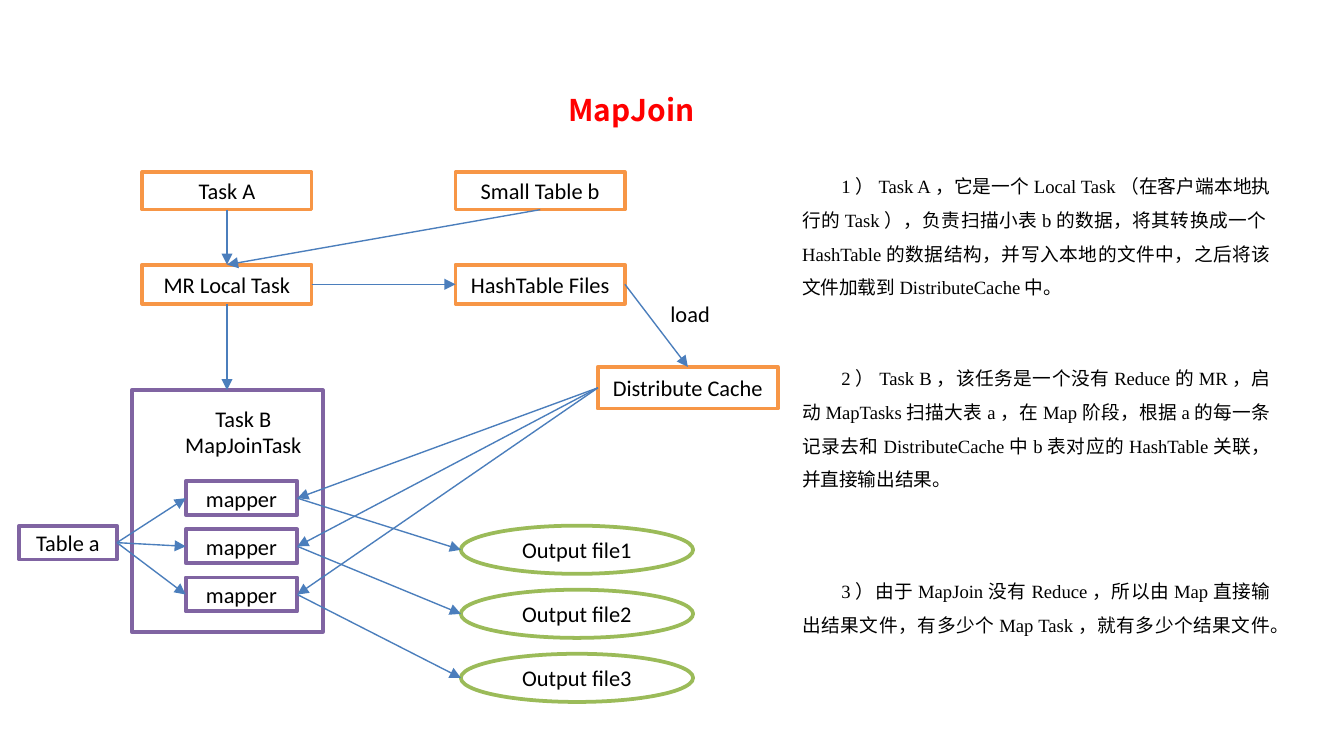
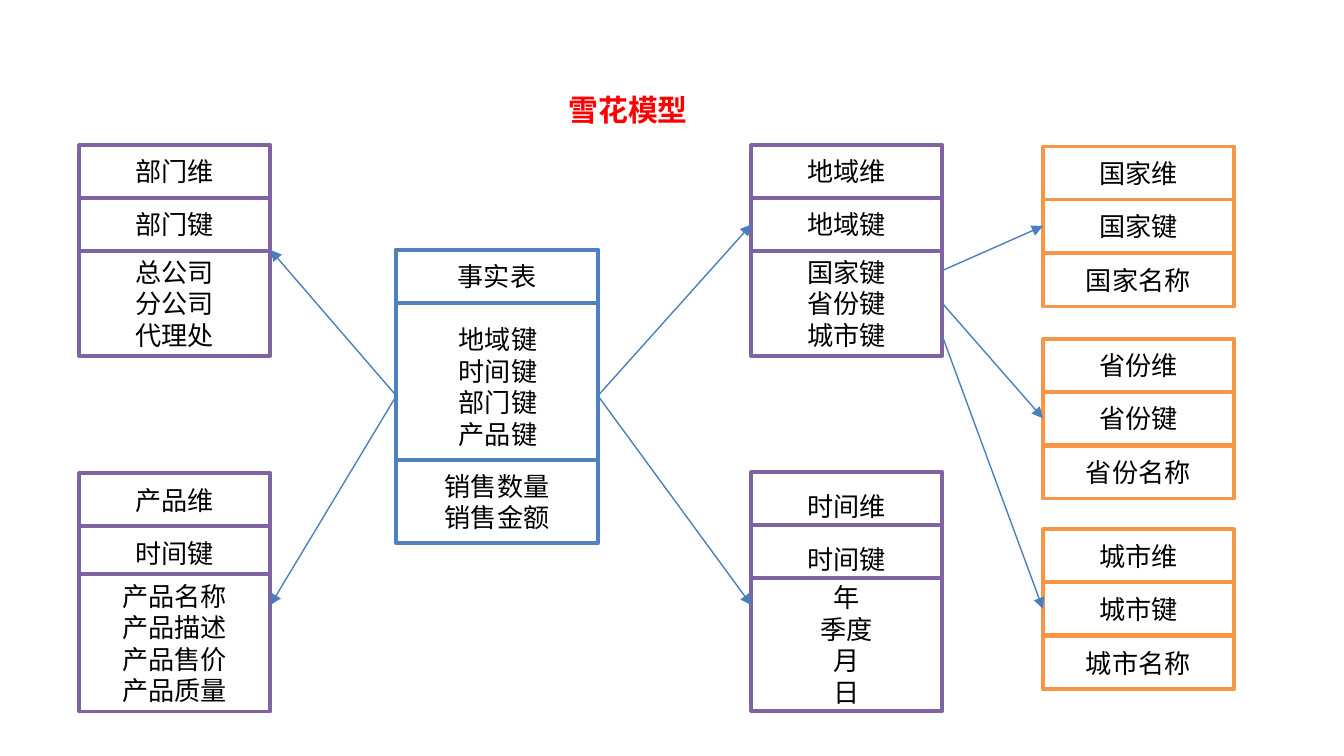
from lxml import etree
from pptx import Presentation
from pptx.dml.color import RGBColor
from pptx.enum.shapes import MSO_CONNECTOR, MSO_SHAPE
from pptx.enum.text import MSO_ANCHOR, MSO_AUTO_SIZE, PP_ALIGN
from pptx.oxml.ns import qn
from pptx.util import Cm, Pt

RECT, OVAL = MSO_SHAPE.RECTANGLE, MSO_SHAPE.OVAL
STRAIGHT = MSO_CONNECTOR.STRAIGHT
LEFT, CENTER, JUSTIFY = PP_ALIGN.LEFT, PP_ALIGN.CENTER, PP_ALIGN.JUSTIFY
TOP, MIDDLE = MSO_ANCHOR.TOP, MSO_ANCHOR.MIDDLE
FIT_TEXT = MSO_AUTO_SIZE.SHAPE_TO_FIT_TEXT
SIDE_TOP, SIDE_LEFT, SIDE_BOTTOM, SIDE_RIGHT = range(4)
TITLE_ONLY = 5

COLORS = {
    "white": "FFFFFF", "black": "000000", "title": "FF0000",
    "orange": "F79646", "purple": "8064A2", "green": "9BBB59",
    "blue": "4F81BD", "arrow": "4B7EBC",
}
CJK_FONT = "Noto Sans CJK SC"

# All positions and sizes are in centimetres: left, top, width, height.
TITLE_PLACE = (10.49, 1.47, 4.88, 1.05)

# MapJoin flow
FLOW_BOXES = [
    ("Task A", (2.69, 3.25, 3.2, 0.71), "orange"),
    ("MR Local Task", (2.69, 5.0, 3.2, 0.74), "orange"),
    ("Small Table b", (8.61, 3.25, 3.2, 0.71), "orange"),
    ("HashTable Files", (8.61, 5.0, 3.2, 0.74), "orange"),
    ("Distribute Cache", (11.3, 6.93, 3.4, 0.79), "orange"),
    ("Table a", (0.36, 9.93, 1.85, 0.64), "purple"),
]
JOIN_FRAME = (2.49, 7.37, 3.61, 4.57)
JOIN_LABEL = (2.62, 7.52, 3.96, 1.27)
LOAD_LABEL = (12.42, 5.54, 1.27, 0.76)
MAPPER_COUNT = 3
MAPPER_PLACE, MAPPER_STEP = (3.51, 9.09, 2.11, 0.64), 0.91
OUTPUT_PLACE, OUTPUT_STEP = (8.71, 9.93, 4.39, 0.91), 1.21
FLOW_LINKS = [
    (("Task A", SIDE_BOTTOM), ("MR Local Task", SIDE_TOP)),
    (("Small Table b", SIDE_BOTTOM), ("MR Local Task", SIDE_TOP)),
    (("MR Local Task", SIDE_RIGHT), ("HashTable Files", SIDE_LEFT)),
    (("HashTable Files", SIDE_RIGHT), ("Distribute Cache", SIDE_TOP)),
    (("MR Local Task", SIDE_BOTTOM), (4.29, JOIN_FRAME[1])),
]
NOTE_LEFT, NOTE_WIDTH = 14.91, 9.35
NOTES = [
    (2.97, 2.82, "1）Task A，它是一个Local Task（在客户端本地执行的Task），负责扫描小表b的数据，"
     "将其转换成一个HashTable的数据结构，并写入本地的文件中，之后将该文件加载到DistributeCache中。"),
    (6.6, 2.82, "2）Task B，该任务是一个没有Reduce的MR，启动MapTasks扫描大表a，在Map阶段，"
     "根据a的每一条记录去和DistributeCache中b表对应的HashTable关联，并直接输出结果。"),
    (10.62, 1.55, "3）由于MapJoin没有Reduce，所以由Map直接输出结果文件，"
     "有多少个Map Task，就有多少个结果文件。"),
]

# Snowflake model
CARD_WIDTH, ROW = 3.61, 1.0
# name, key, details, left, top, row height, detail offset, detail height, color
CARDS = [
    ("部门维", "部门键", ["总公司", "分公司", "代理处"],
     1.5, 2.74, ROW, 2.0, 1.98, "purple"),
    ("产品维", "时间键", ["产品名称", "产品描述", "产品售价", "产品质量"],
     1.5, 8.94, ROW, 1.91, 2.59, "purple"),
    ("地域维", "地域键", ["国家键", "省份键", "城市键"],
     14.2, 2.74, ROW, 2.0, 1.98, "purple"),
    ("时间维", "时间键", ["年", "季度", "月", "日"],
     14.2, 8.92, 1.27, 2.0, 2.51, "purple"),
] + [
    (name + "维", name + "键", [name + "名称"], 19.71, top, ROW, 2.02, ROW, "orange")
    for name, top in [("国家", 2.77), ("省份", 6.4), ("城市", 10.0)]
]
FACT_FRAME = (7.49, 4.72, 3.81, 5.51)
FACT_HEADER = (7.49, 4.72, 3.81, 1.0)
FACT_MEASURES = (7.49, 8.69, 3.81, 1.57)
FACT_KEYS = (8.41, 5.99, 2.01, 2.64)
MODEL_LINKS = [
    (("fact", SIDE_LEFT), (5.11, 4.72)),
    (("fact", SIDE_LEFT), (5.11, 11.43)),
    (("fact", SIDE_RIGHT), ("地域维/key", SIDE_LEFT)),
    (("fact", SIDE_RIGHT), (14.2, 11.43)),
    ((17.81, 5.11), ("国家维/key", SIDE_LEFT)),
    (("地域维/details", SIDE_RIGHT), ("省份维/key", SIDE_LEFT)),
    ((17.81, 6.35), ("城市维/key", SIDE_LEFT)),
]


def rgb(name):
    return RGBColor.from_string(COLORS[name])


def lengths(place):
    return [Cm(value) for value in place]


def write(shape, lines, size, font="Calibri", align=CENTER, spacing=None,
          color="black", bold=None, indent=0):
    frame = shape.text_frame
    frame.text = "\n".join(lines)
    for para in frame.paragraphs:
        para.alignment = align
        if spacing:
            para.line_spacing = spacing
        if indent:
            properties = para._p.get_or_add_pPr()
            properties.set("marL", "0")
            properties.set("indent", str(Cm(indent)))
        for span in para.runs:
            span.font.name, span.font.size = font, Pt(size)
            span.font.bold = bold
            span.font.color.rgb = rgb(color)
            east_asian = etree.SubElement(span._r.get_or_add_rPr(), qn("a:ea"))
            east_asian.set("typeface", CJK_FONT)


def add_box(page, place, color, lines=(), size=12, kind=RECT):
    box = page.shapes.add_shape(kind, *lengths(place))
    box.shadow.inherit = False
    box.fill.solid()
    box.fill.fore_color.rgb = rgb("white")
    box.line.color.rgb = rgb(color)
    box.line.width = Pt(2)
    if lines:
        box.text_frame.vertical_anchor = MIDDLE
        write(box, lines, size)
    return box


def add_label(page, place, lines, size, wrap=True, **style):
    label = page.shapes.add_textbox(*lengths(place))
    label.text_frame.word_wrap = wrap
    label.text_frame.auto_size = FIT_TEXT
    write(label, lines, size, **style)


def add_arrow(page, shapes, start, end):
    """Draw an arrow; each end is a point or a (shape name, side) pair."""
    start_joined, end_joined = (isinstance(stop[0], str) for stop in (start, end))
    start_point = (0, 0) if start_joined else start
    end_point = (0, 0) if end_joined else end
    arrow = page.shapes.add_connector(STRAIGHT, *lengths(start_point + end_point))
    if start_joined:
        arrow.begin_connect(shapes[start[0]], start[1])
    if end_joined:
        arrow.end_connect(shapes[end[0]], end[1])
    arrow.line.color.rgb = rgb("arrow")
    arrow.line.width = Pt(0.75)
    etree.SubElement(arrow.line._get_or_add_ln(), qn("a:tailEnd")).set("type", "triangle")
    etree.SubElement(arrow._element.spPr, qn("a:effectLst"))


def add_page(deck, title):
    page = deck.slides.add_slide(deck.slide_layouts[TITLE_ONLY])
    box = page.shapes.title
    box.left, box.top, box.width, box.height = lengths(TITLE_PLACE)
    box.text_frame.vertical_anchor = TOP
    box.text_frame.word_wrap = True
    box.text_frame.auto_size = FIT_TEXT
    write(box, [title], 16, font=CJK_FONT, align=JUSTIFY, spacing=1.2,
          color="title", bold=True)
    return page


def build_map_join(deck):
    page = add_page(deck, "MapJoin")
    shapes = {name: add_box(page, place, color, [name])
              for name, place, color in FLOW_BOXES}
    add_box(page, JOIN_FRAME, "purple")
    add_label(page, JOIN_LABEL, ["Task B", "MapJoinTask"], 12)
    add_label(page, LOAD_LABEL, ["load"], 12, wrap=False, align=LEFT)

    links = list(FLOW_LINKS)
    for index in range(MAPPER_COUNT):
        left, top, width, height = MAPPER_PLACE
        mapper = f"mapper {index}"
        shapes[mapper] = add_box(page, (left, top + index * MAPPER_STEP, width, height),
                                 "purple", ["mapper"])
        left, top, width, height = OUTPUT_PLACE
        top += index * OUTPUT_STEP
        add_box(page, (left, top, width, height), "green",
                [f"Output file{index + 1}"], kind=OVAL)
        links += [
            (("Distribute Cache", SIDE_LEFT), (mapper, SIDE_RIGHT)),
            ((mapper, SIDE_RIGHT), (left, top + height / 2)),
            (("Table a", SIDE_RIGHT), (mapper, SIDE_LEFT)),
        ]
    for start, end in links:
        add_arrow(page, shapes, start, end)
    for top, height, text in NOTES:
        add_label(page, (NOTE_LEFT, top, NOTE_WIDTH, height), [text], 10,
                  font="Times New Roman", align=JUSTIFY, spacing=1.5, indent=0.74)


def build_snowflake(deck):
    page = add_page(deck, "雪花模型")
    shapes = {"fact": add_box(page, FACT_FRAME, "blue")}
    add_box(page, FACT_HEADER, "blue", ["事实表"], 14)
    add_box(page, FACT_MEASURES, "blue", ["销售数量", "销售金额"], 14)
    add_label(page, FACT_KEYS, ["地域键", "时间键", "部门键", "产品键"], 14, wrap=False)

    for name, key, details, left, top, row, offset, height, color in CARDS:
        rows = [("name", 0, row, [name]), ("key", ROW, row, [key]),
                ("details", offset, height, details)]
        for part, shift, row_height, lines in rows:
            place = (left, top + shift, CARD_WIDTH, row_height)
            shapes[f"{name}/{part}"] = add_box(page, place, color, lines, 14)
    for start, end in MODEL_LINKS:
        add_arrow(page, shapes, start, end)


def main():
    deck = Presentation()
    deck.slide_width, deck.slide_height = Cm(25.4), Cm(14.28)
    build_map_join(deck)
    build_snowflake(deck)
    deck.save("out.pptx")


if __name__ == "__main__":
    main()
